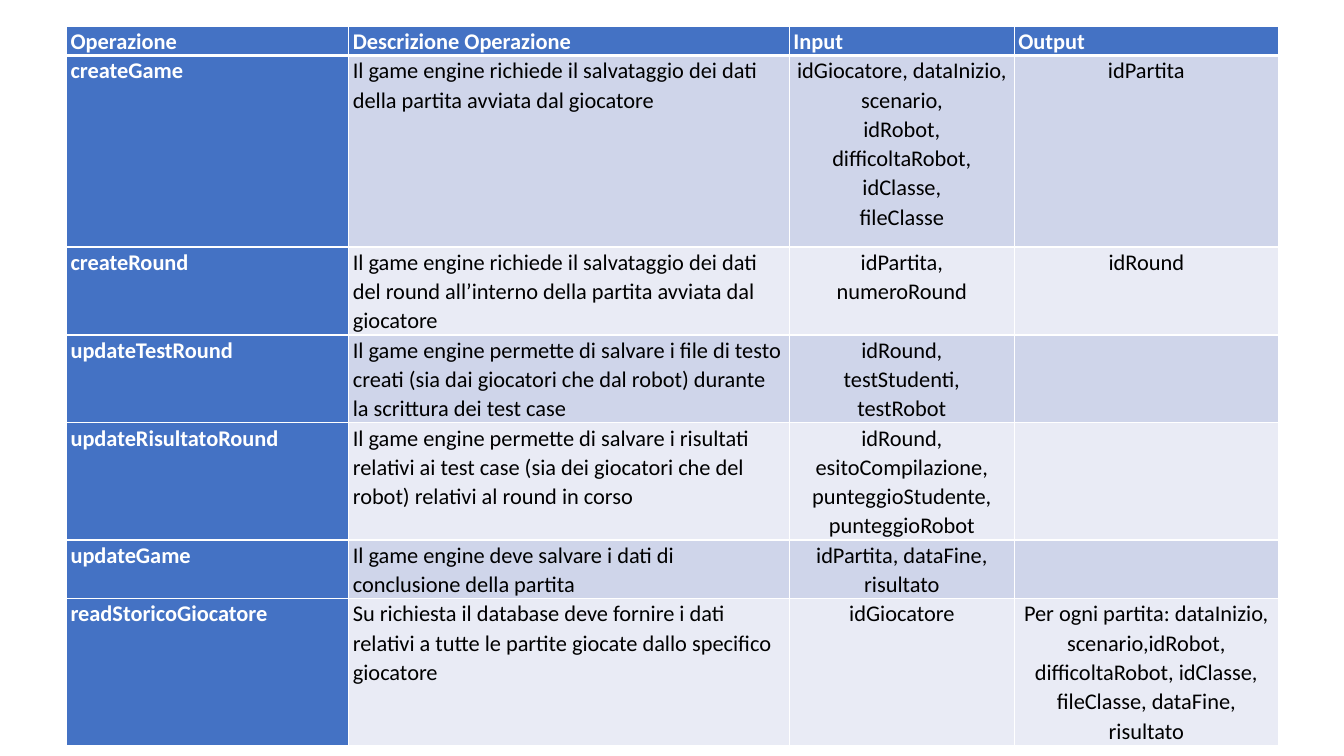
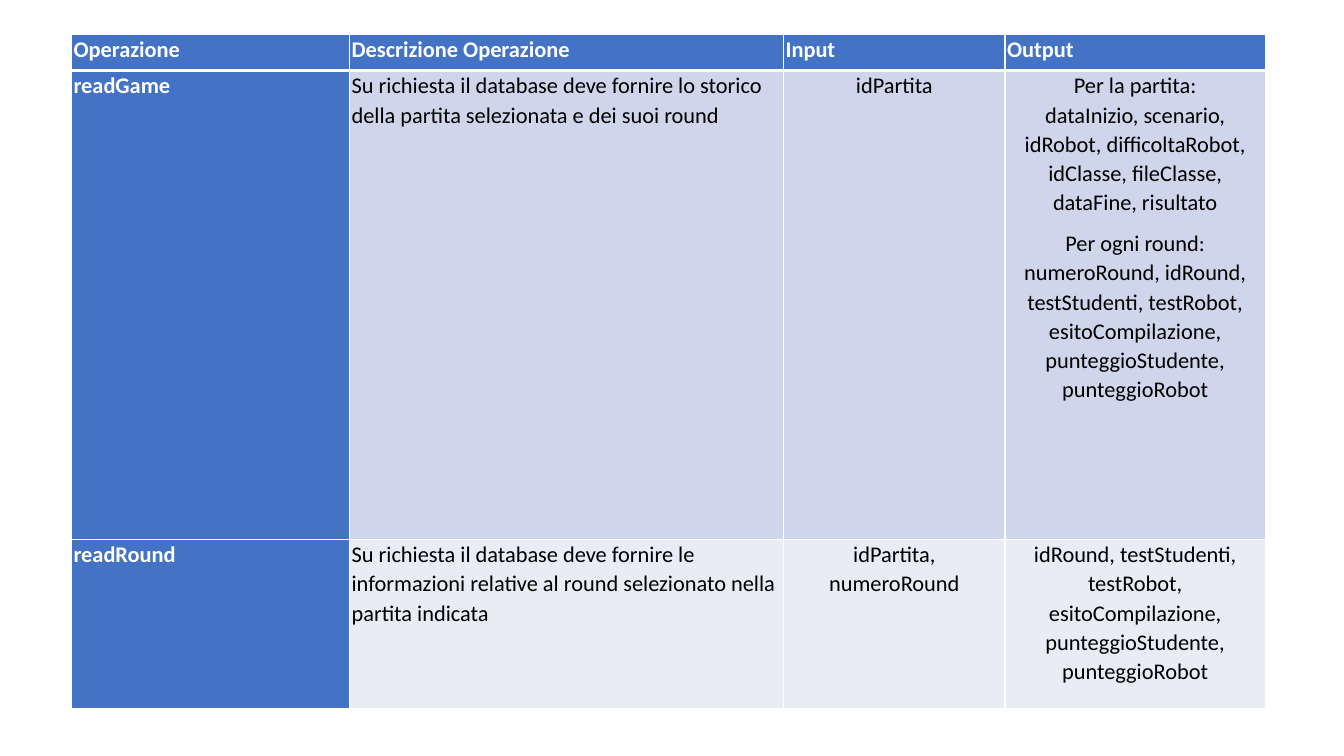
import dataclasses

import lxml.etree
import pptx
import pptx.dml.color
import pptx.enum.text
import pptx.oxml.ns
import pptx.util

ALIGN = pptx.enum.text.PP_ALIGN
HEADINGS = ("Operazione", "Descrizione Operazione", "Input", "Output")
COLUMN_WEIGHTS = (2.8, 4.37, 2.23, 2.62)

# Each operation: row height, then one tuple of paragraphs or one string per column.
GAME_OPERATIONS = [
    (1.9, "createGame",
     "Il game engine richiede il salvataggio dei dati della partita avviata dal giocatore",
     "idGiocatore, dataInizio,\nscenario,\nidRobot,\ndifficoltaRobot,\nidClasse,\nfileClasse",
     "idPartita"),
    (0.81, "createRound",
     "Il game engine richiede il salvataggio dei dati del round all’interno della partita "
     "avviata dal giocatore",
     "idPartita,\nnumeroRound", "idRound"),
    (0.81, "updateTestRound",
     "Il game engine permette di salvare i file di testo creati (sia dai giocatori che dal "
     "robot) durante la scrittura dei test case",
     "idRound,\ntestStudenti,\ntestRobot", ""),
    (1.08, "updateRisultatoRound",
     "Il game engine permette di salvare i risultati relativi ai test case (sia dei giocatori "
     "che del robot) relativi al round in corso",
     "idRound,\nesitoCompilazione,\npunteggioStudente, punteggioRobot", ""),
    (0.53, "updateGame",
     "Il game engine deve salvare i dati di conclusione della partita",
     "idPartita, dataFine,\nrisultato", ""),
    (1.42, "readStoricoGiocatore",
     "Su richiesta il database deve fornire i dati relativi a tutte le partite giocate dallo "
     "specifico giocatore",
     "idGiocatore",
     "Per ogni partita: dataInizio,\nscenario,idRobot,\ndifficoltaRobot, idClasse,\n"
     "fileClasse, dataFine,\nrisultato"),
]
READ_OPERATIONS = [
    (4.65, "readGame",
     "Su richiesta il database deve fornire lo storico della partita selezionata e dei suoi round",
     "idPartita",
     ("Per la partita:\ndataInizio, scenario,\nidRobot, difficoltaRobot,\n"
      "idClasse, fileClasse,\ndataFine, risultato",
      "Per ogni round:\nnumeroRound, idRound,\ntestStudenti, testRobot,\n"
      "esitoCompilazione,\npunteggioStudente,\npunteggioRobot")),
    (1.68, "readRound",
     "Su richiesta il database deve fornire le informazioni relative al round selezionato "
     "nella partita indicata",
     "idPartita, numeroRound",
     "idRound, testStudenti,\ntestRobot, esitoCompilazione, punteggioStudente, punteggioRobot"),
]
PAGES = [
    dict(left=0.66, top=0.26, width=12.02, header=0.26, inset=0.04, operations=GAME_OPERATIONS),
    dict(left=0.71, top=0.34, width=11.84, header=0.36, inset=0.02, operations=READ_OPERATIONS),
]


@dataclasses.dataclass(frozen=True)
class Theme:
    """Colours, type and rules shared by the slides."""
    accent: str = "4472C4"
    bands: tuple = ("CFD5EA", "E9EBF5")
    light: str = "FFFFFF"
    dark: str = "000000"
    font: str = "Calibri"
    size: int = 16
    line_spacing: float = 1.07
    space_after: int = 8
    rule: int = 1
    header_rule: int = 3


THEME = Theme()


def set_borders(cell, top, bottom):
    """Rule the four sides of a cell, with its own top and bottom widths."""
    properties = cell._tc.get_or_add_tcPr()
    sides = (("L", THEME.rule), ("R", THEME.rule), ("T", top), ("B", bottom))
    for position, (side, width) in enumerate(sides):
        line = lxml.etree.Element(pptx.oxml.ns.qn(f"a:ln{side}"), w=str(pptx.util.Pt(width)))
        fill = lxml.etree.SubElement(line, pptx.oxml.ns.qn("a:solidFill"))
        lxml.etree.SubElement(fill, pptx.oxml.ns.qn("a:srgbClr"), val=THEME.light)
        properties.insert(position, line)


def write_paragraph(paragraph, text, align, color, bold):
    """Write the lines of one paragraph as runs parted by line breaks."""
    paragraph.alignment = align
    paragraph.line_spacing = THEME.line_spacing
    paragraph.space_after = pptx.util.Pt(THEME.space_after)
    for number, line in enumerate(text.split("\n")):
        if number:
            paragraph.add_line_break()
            lxml.etree.SubElement(paragraph._p[-1], pptx.oxml.ns.qn("a:rPr"),
                                  sz=str(THEME.size * 100))
        run = paragraph.add_run()
        run.text = line
        run.font.name = THEME.font
        run.font.size = pptx.util.Pt(THEME.size)
        run.font.bold = bold
        run.font.color.rgb = pptx.dml.color.RGBColor.from_string(color)


def fill_cell(cell, content, row, column, inset):
    """Style one cell by its place in the table and write its content."""
    heading = row == 0 or column == 0
    cell.margin_left = cell.margin_right = pptx.util.Inches(inset)
    cell.margin_top = cell.margin_bottom = 0
    cell.fill.solid()
    cell.fill.fore_color.rgb = pptx.dml.color.RGBColor.from_string(
        THEME.accent if heading else THEME.bands[(row - 1) % 2])
    set_borders(cell, THEME.header_rule if row == 1 else THEME.rule,
                THEME.header_rule if row == 0 else THEME.rule)
    if not content:
        return
    align = ALIGN.JUSTIFY if heading else ALIGN.LEFT if column == 1 else ALIGN.CENTER
    paragraphs = (content,) if isinstance(content, str) else content
    for number, text in enumerate(paragraphs):
        frame = cell.text_frame
        paragraph = frame.add_paragraph() if number else frame.paragraphs[0]
        write_paragraph(paragraph, text, align, THEME.light if heading else THEME.dark, heading)


def add_operations(slide, left, top, width, header, inset, operations):
    """Add the table of operations under its header row."""
    rows = [(header, *HEADINGS), *operations]
    height = sum(row[0] for row in rows)
    box = [pptx.util.Inches(length) for length in (left, top, width, height)]
    table = slide.shapes.add_table(len(rows), len(HEADINGS), *box).table
    for column, weight in zip(table.columns, COLUMN_WEIGHTS):
        column.width = pptx.util.Inches(width * weight / sum(COLUMN_WEIGHTS))
    for row, (row_height, *contents) in enumerate(rows):
        table.rows[row].height = pptx.util.Inches(row_height)
        for column, content in enumerate(contents):
            fill_cell(table.cell(row, column), content, row, column, inset)


def build():
    """Build the deck, one table to a slide."""
    deck = pptx.Presentation()
    deck.slide_width = pptx.util.Inches(13.33)
    deck.slide_height = pptx.util.Inches(7.5)
    for page in PAGES:
        add_operations(deck.slides.add_slide(deck.slide_layouts[6]), **page)
    deck.save("out.pptx")


build()
